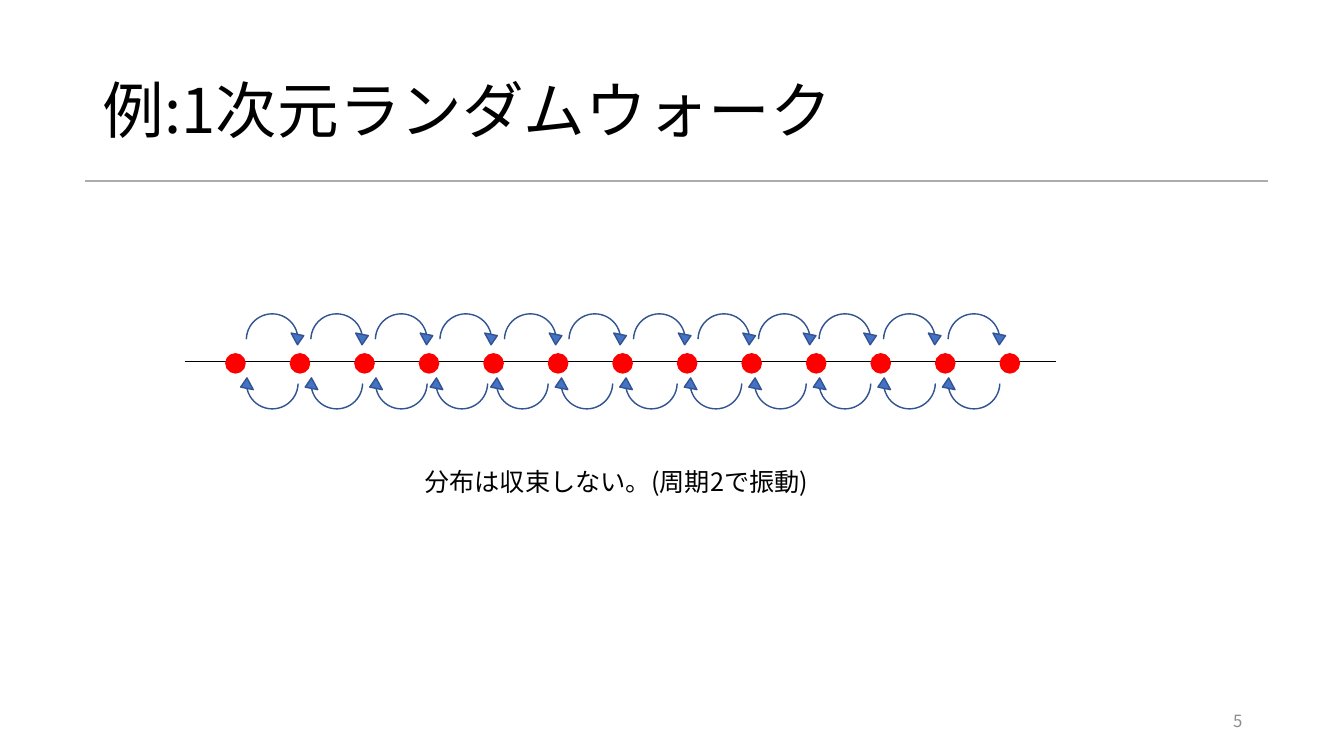
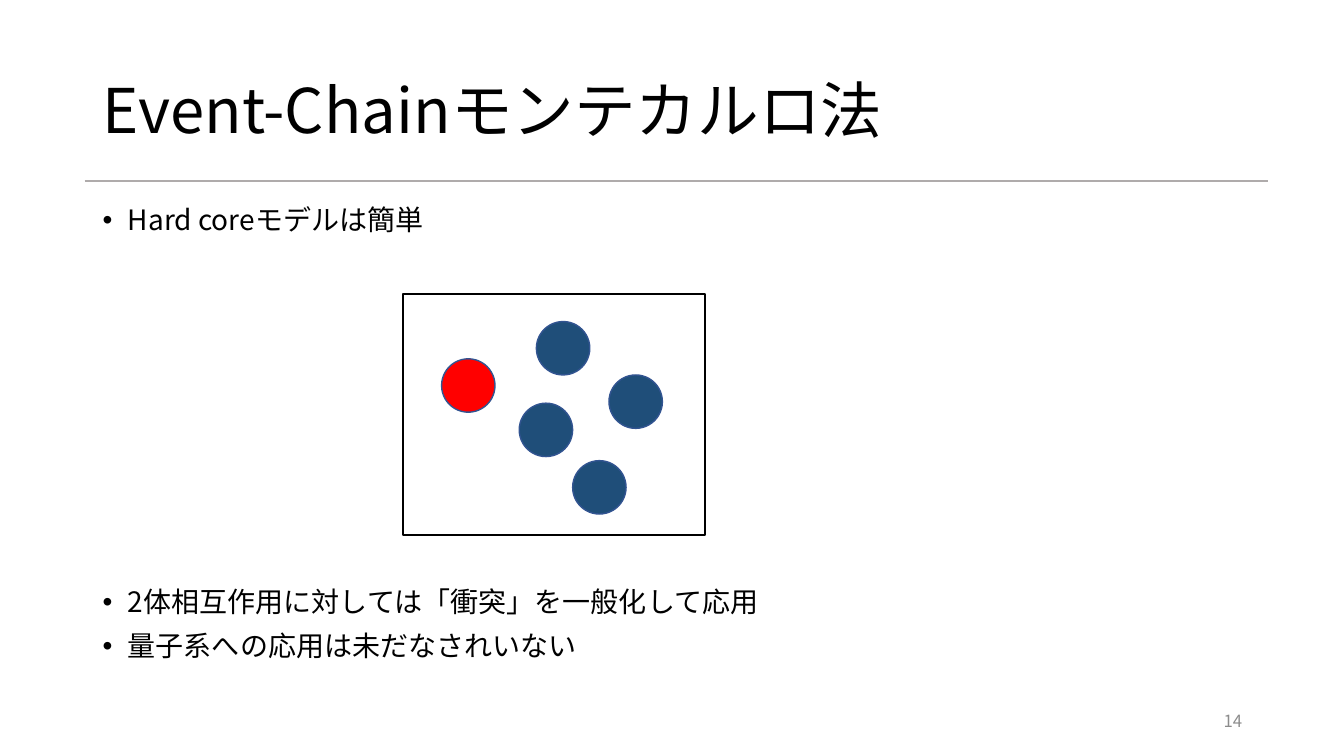
"""Build two slides on random walks and event-chain Monte Carlo."""
from dataclasses import dataclass

from lxml.etree import SubElement
from pptx import Presentation
from pptx.dml.color import RGBColor
from pptx.enum.shapes import MSO_CONNECTOR, MSO_SHAPE
from pptx.enum.text import MSO_ANCHOR, MSO_AUTO_SIZE, PP_ALIGN
from pptx.oxml.ns import qn
from pptx.util import Inches, Pt


@dataclass(frozen=True)
class Theme:
    """Colours, font and type sizes of the deck."""

    black: RGBColor = RGBColor(0x00, 0x00, 0x00)
    rule: RGBColor = RGBColor(0xAF, 0xAB, 0xAB)
    grey: RGBColor = RGBColor(0x8C, 0x8C, 0x8C)
    red: RGBColor = RGBColor(0xFF, 0x00, 0x00)
    navy: RGBColor = RGBColor(0x1F, 0x4E, 0x79)
    blue: RGBColor = RGBColor(0x44, 0x72, 0xC4)
    outline: RGBColor = RGBColor(0x32, 0x54, 0x91)
    font: str = "Noto Sans CJK JP"
    title: int = 44
    body: int = 20
    caption: int = 18
    number: int = 12


class Deck:
    """Holds the theme and the current slide, and draws elements on it."""

    def __init__(self, prs, theme):
        """Set the slide size and keep the theme."""
        self.prs, self.theme = prs, theme
        prs.slide_width, prs.slide_height = Inches(13.33), Inches(7.5)

    def slide(self, title, number):
        """Start a slide with its title, rule and page number."""
        t = self.theme
        self.s = self.prs.slides.add_slide(self.prs.slide_layouts[5])
        self.shapes = self.s.shapes
        sp = self.s.shapes.title
        sp.left, sp.top, sp.width, sp.height = map(Inches, (0.92, 0.4, 11.5, 1.45))
        tf = sp.text_frame
        tf.auto_size = MSO_AUTO_SIZE.NONE
        tf.vertical_anchor = MSO_ANCHOR.MIDDLE
        p = tf.paragraphs[0]
        p.line_spacing = 0.9
        self.set_text(p, title, t.title, t.black)
        self.line(0.84, 12.58, 1.8, t.rule, 1.5)
        tf = self.text(9.42, 6.95, 3, 0.4)
        tf.vertical_anchor = MSO_ANCHOR.MIDDLE
        self.set_text(tf.paragraphs[0], number, t.number, t.grey, PP_ALIGN.RIGHT)

    def group(self):
        """Collect the following shapes in a new group."""
        self.shapes = self.s.shapes.add_group_shape().shapes

    def set_text(self, p, text, size, color, align=PP_ALIGN.LEFT):
        """Fill a paragraph and set its font."""
        p.text, p.alignment = text, align
        p.font.name, p.font.size = self.theme.font, Pt(size)
        p.font.color.rgb = color
        props = p._p.pPr.find(qn("a:defRPr"))
        SubElement(props, qn("a:ea"), typeface=self.theme.font)

    def text(self, x, y, w, h):
        """Add a wrapping text box and return its text frame."""
        sp = self.s.shapes.add_textbox(*map(Inches, (x, y, w, h)))
        sp.text_frame.word_wrap = True
        return sp.text_frame

    def caption(self, x, y, w, text):
        """Add a one-line caption."""
        p = self.text(x, y, w, 0.4).paragraphs[0]
        self.set_text(p, text, self.theme.caption, self.theme.black)

    def bullets(self, x, y, w, h, items):
        """Add a bulleted list of (text, space before) items."""
        tf = self.text(x, y, w, h)
        for i, (text, gap) in enumerate(items):
            p = tf.add_paragraph() if i else tf.paragraphs[0]
            p.line_spacing, p.space_before = 0.9, Pt(gap)
            props = p._p.get_or_add_pPr()
            props.set("marL", str(Inches(0.25)))
            props.set("indent", str(Inches(-0.25)))
            SubElement(props, qn("a:buFont"), typeface="Arial")
            SubElement(props, qn("a:buChar"), char="•")
            self.set_text(p, text, self.theme.body, self.theme.black)

    def line(self, x1, x2, y, color, width):
        """Add a horizontal line."""
        points = map(Inches, (x1, y, x2, y))
        sp = self.shapes.add_connector(MSO_CONNECTOR.STRAIGHT, *points)
        sp.line.color.rgb, sp.line.width = color, Pt(width)
        SubElement(sp._element.spPr, qn("a:effectLst"))

    def shape(self, kind, x, y, w, h, fill, outline, width=1):
        """Add a preset shape, hollow when fill is None."""
        sp = self.shapes.add_shape(kind, *map(Inches, (x, y, w, h)))
        sp.shadow.inherit = False
        if fill is None:
            sp.fill.background()
        else:
            sp.fill.solid()
            sp.fill.fore_color.rgb = fill
        sp.line.color.rgb, sp.line.width = outline, Pt(width)
        return sp

    def disc(self, x, y, size, fill, outline):
        """Add a filled circle."""
        self.shape(MSO_SHAPE.OVAL, x, y, size, size, fill, outline)

    def hop(self, x, y, rotation):
        """Add a curved arrow from one site to the next."""
        sp = self.shape(MSO_SHAPE.CIRCULAR_ARROW, x, y, 0.64, 0.64,
                        self.theme.blue, self.theme.outline)
        for i, value in enumerate((0, 13.98, 208.9, 109.29, 0.1)):
            sp.adjustments[i] = value
        sp.rotation = rotation


def random_walk(deck):
    """Draw the one-dimensional random walk."""
    t, step, sites = deck.theme, 0.64, 13
    deck.slide("例:1次元ランダムウォーク", "5")
    deck.caption(4.11, 4.58, 7.14, "分布は収束しない。(周期2で振動)")
    deck.group()
    deck.line(1.83, 10.47, 3.59, t.black, 0.5)
    for i in range(sites):
        deck.disc(2.24 + step * i, 3.51, 0.19, t.red, t.red)
    for y, rotation, tight in ((3.05, 0, 7), (3.48, 180, 2)):
        for i in range(sites - 1):
            pull = 0.04 * min(max(i - tight, 0), 2)
            deck.hop(2.38 + step * i - pull, y, rotation)


def event_chain(deck):
    """Draw the hard-core particles in their box."""
    t = deck.theme
    deck.slide("Event-Chainモンテカルロ法", "14")
    deck.bullets(0.92, 2, 11.5, 4.76, (
        ("Hard coreモデルは簡単", 10),
        ("2体相互作用に対しては「衝突」を一般化して応用", 251),
        ("量子系への応用は未だなされいない", 10),
    ))
    deck.disc(4.38, 3.56, 0.53, t.red, t.outline)
    for x, y in ((5.32, 3.19), (5.15, 4), (6.04, 3.72), (5.68, 4.57)):
        deck.disc(x, y, 0.53, t.navy, t.outline)
    deck.shape(MSO_SHAPE.RECTANGLE, 4, 2.92, 2.99, 2.39, None, t.black, 1.5)


def main():
    """Build and save the deck."""
    prs = Presentation()
    deck = Deck(prs, Theme())
    random_walk(deck)
    event_chain(deck)
    prs.save("out.pptx")


if __name__ == "__main__":
    main()
